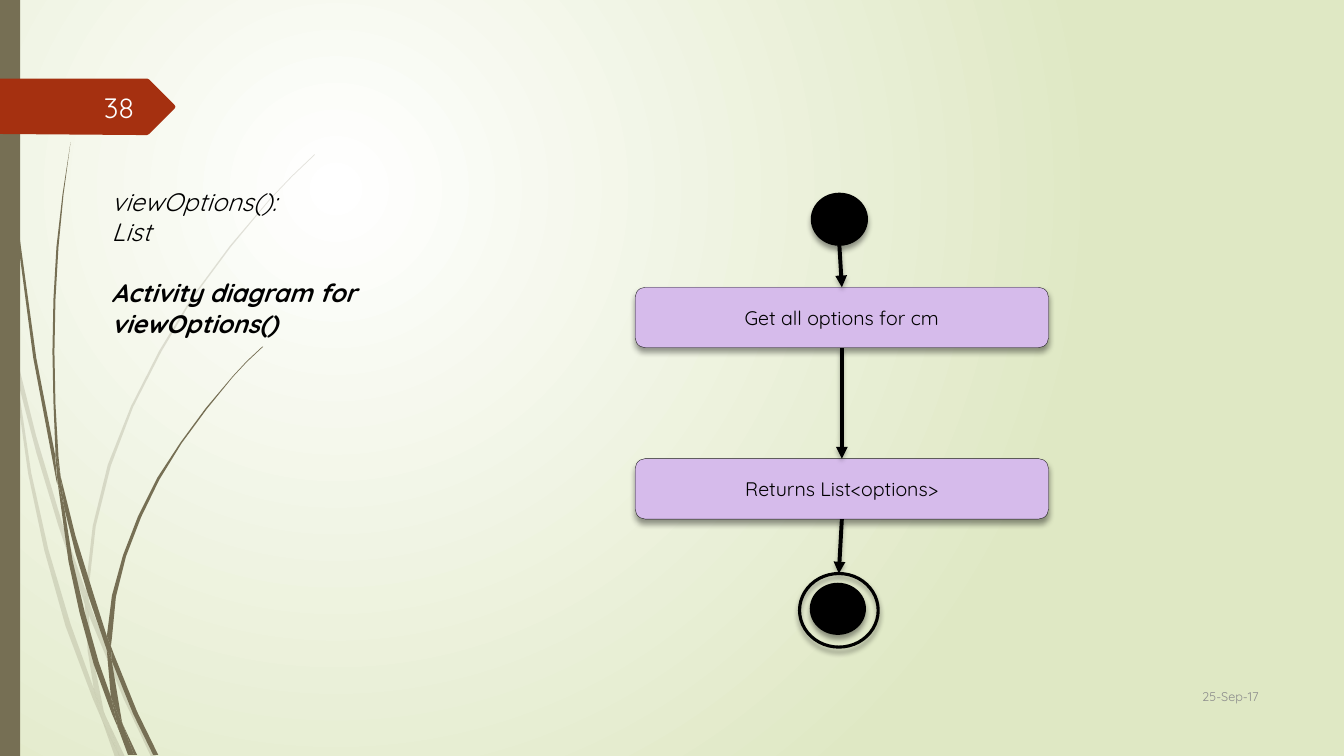
from dataclasses import dataclass
from typing import Optional

from lxml import etree
from pptx import Presentation, util as u
from pptx.dml.color import RGBColor
from pptx.enum import shapes as sh, text as tx
from pptx.oxml.ns import qn

BLACK = RGBColor(0x00, 0x00, 0x00)
WHITE = RGBColor(0xFF, 0xFF, 0xFF)
NUMBER_WHITE = RGBColor(0xFE, 0xFF, 0xFF)
DATE_GREY = RGBColor(0x8C, 0x8C, 0x8C)
PALE_GREEN = RGBColor(0xDF, 0xE8, 0xC4)
OLIVE = RGBColor(0x76, 0x6F, 0x54)
RUST = RGBColor(0xA5, 0x30, 0x10)
LILAC = RGBColor(0xD6, 0xBB, 0xEB)
FONT = "Quicksand"

# Closed outlines, each a row of x,y corners in inches.
FAINT_BLADES = (
    "0.11,3.5 0.09,3.22 0,2.82 0,2.99 0.1,3.44",
    "0.58,5.22 0.84,5.99 0.85,5.86 0.62,5.2 0.36,4.33 0.14,3.45 0.17,3.76 0.36,4.49",
    "0.92,6.07 0.88,5.96 0.88,6.1 1.23,6.94 1.5,7.51 1.55,7.51 1.27,6.92",
    "1.19,7.51 1.24,7.51 1.05,7.11",
    "0.93,6.83 0.7,6.19 0.48,5.45 0.31,4.69 0.17,3.76 0.11,3.5 0.28,4.7 0.44,5.46 0.65,6.21 "
    "0.92,6.93 1.01,7.14 0.99,7.07",
    "0.84,5.99 0.87,6.46 0.93,6.83 0.96,6.92 1.05,7.11 1.03,7.06 0.91,6.46 0.88,6.1 0.88,6.08",
    "0.88,5.84 0.95,5.22 1.1,4.62 1.32,4.04 1.6,3.49 1.92,2.95 2.29,2.45 2.68,1.98 2.9,1.75 "
    "3.12,1.54 3.12,1.53 2.89,1.75 2.68,1.97 2.28,2.44 1.91,2.94 1.58,3.48 1.3,4.03 1.07,4.61 "
    "0.92,5.22 0.85,5.84 0.85,5.86 0.88,5.96",
    "1.01,7.14 1.14,7.51 1.19,7.51",
    "0.88,6.08 0.88,6.1 0.88,5.96 0.85,5.86 0.84,5.99",
    "0.96,6.92 0.93,6.83 0.99,7.07 1.01,7.14 1.19,7.51 1.05,7.11",
)
SOLID_BLADES = (
    "0.07,1.1 0.17,2.33 0.33,3.55 0.56,4.77 0.57,4.81 0.55,4.57 0.55,4.53 0.36,3.55 0.19,2.32 "
    "0.08,1.09 0.05,0.48 0.04,0 0.03,0 0.04,0.48",
    "0.88,5.92 1.06,6.45 1.06,6.31 0.93,5.9 0.75,5.32 0.6,4.72 0.64,5.05 0.75,5.49",
    "1.13,6.49 1.1,6.41 1.11,6.56 1.32,7.08 1.52,7.49 1.57,7.49 1.36,7.06",
    "1.1,6.91 0.98,6.57 0.84,6.07 0.72,5.56 0.64,5.05 0.57,4.77 0.68,5.57 0.79,6.08 0.93,6.59 "
    "1.11,7.08 1.17,7.22 1.16,7.17",
    "0.6,4.72 0.58,4.53 0.55,4.01 0.54,3.49 0.55,2.97 0.58,2.45 0.63,1.93 0.7,1.41 0.62,1.93 "
    "0.56,2.45 0.53,2.97 0.52,3.49 0.53,3.99 0.55,4.49",
    "1.33,7.49 1.36,7.49 1.22,7.19",
    "0.57,4.77 0.64,5.05 0.6,4.72 0.55,4.49 0.55,4.53",
    "1.11,6.33 1.15,5.92 1.25,5.52 1.4,5.13 1.58,4.76 1.8,4.4 2.05,4.06 2.31,3.74 2.45,3.59 "
    "2.61,3.44 2.6,3.44 2.45,3.58 2.31,3.73 2.04,4.05 1.79,4.39 1.56,4.74 1.37,5.12 1.22,5.51 "
    "1.11,5.91 1.06,6.31 1.1,6.41",
    "1.17,7.22 1.27,7.49 1.31,7.49",
    "1.06,6.45 1.1,6.91 1.16,7.06 1.22,7.19 1.21,7.16 1.11,6.56 1.09,6.51",
    "1.06,6.45 1.09,6.51 1.11,6.56 1.1,6.41 1.06,6.31",
    "1.16,7.06 1.1,6.91 1.16,7.17 1.17,7.22 1.3,7.49 1.33,7.49 1.22,7.19",
)
RIBBON = ("1.73,1.08 1.48,1.33 1.46,1.34 1.36,1.34 0,1.33 0,0.78 1.46,0.78 1.48,0.79 "
          "1.73,1.04 1.74,1.06")


@dataclass(frozen=True)
class Node:
    box: tuple
    fill: Optional[RGBColor]
    line_width: float
    kind: sh.MSO_SHAPE = sh.MSO_SHAPE.FLOWCHART_CONNECTOR
    label: str = ""
    line_alpha: int = 100


@dataclass(frozen=True)
class Caption:
    box: tuple
    lines: tuple  # (words, font format) pairs
    size: float
    color: RGBColor
    align: tx.PP_ALIGN = tx.PP_ALIGN.RIGHT
    anchor: tx.MSO_ANCHOR = tx.MSO_ANCHOR.MIDDLE


STEP = sh.MSO_SHAPE.FLOWCHART_ALTERNATE_PROCESS
NODES = {
    "start": Node((8.05, 1.92, 0.55, 0.51), BLACK, 1.25),
    "get": Node((6.3, 2.85, 4.1, 0.6), LILAC, 0.25, STEP, "Get all options for cm", 88),
    "end": Node((8.04, 5.79, 0.54, 0.5), BLACK, 1.25),
    "ring": Node((7.93, 5.69, 0.78, 0.73), None, 2.25),
    "return": Node((6.3, 4.55, 4.1, 0.6), LILAC, 0.25, STEP, "Returns List<options>", 88),
}
FLOWS = (("start", "get"), ("get", "return"), ("return", "ring"))
CAPTIONS = (
    Caption((11.33, 6.7, 1.25, 0.41), (("25-Sep-17", {}),), 9, DATE_GREY),
    Caption((0.58, 0.86, 0.85, 0.4), (("38", {}),), 20, NUMBER_WHITE),
    Caption((1.01, 1.8, 2.67, 1.62),
            (("viewOptions():", {"italic": True}), ("List", {"italic": True}),
             ("Activity diagram for viewOptions()", {"italic": True, "bold": True})),
            18, BLACK, tx.PP_ALIGN.LEFT, tx.MSO_ANCHOR.TOP),
)


def inches(values) -> list:
    return [u.Inches(float(value)) for value in values]


def set_alpha(owner, percent: int) -> None:
    color = next(owner.iter(qn("a:srgbClr")))
    etree.SubElement(color, qn("a:alpha"), val=str(percent * 1000))


def add_shadow(shape, alpha: int, blur: float, distance: float) -> None:
    properties = shape.element.spPr
    effects = properties.find(qn("a:effectLst"))
    if effects is None:
        effects = etree.SubElement(properties, qn("a:effectLst"))
    shadow = etree.SubElement(effects, qn("a:outerShdw"), blurRad=str(u.Pt(blur)),
                              dist=str(u.Pt(distance)), dir="5400000", rotWithShape="0")
    etree.SubElement(shadow, qn("a:srgbClr"), val=str(BLACK))
    set_alpha(shadow, alpha)


def paint_flat(shape, color: RGBColor, alpha: int = 100) -> None:
    shape.shadow.inherit = False
    shape.fill.solid()
    shape.fill.fore_color.rgb = color
    shape.line.fill.background()
    if alpha < 100:
        set_alpha(shape.element.spPr, alpha)


def draw_outline(slide, outline: str, color: RGBColor, alpha: int = 100) -> None:
    first, *rest = (inches(corner.split(",")) for corner in outline.split())
    builder = slide.shapes.build_freeform(*first)
    builder.add_line_segments(rest, close=True)
    paint_flat(builder.convert_to_shape(), color, alpha)


def write(paragraph, words: str, size: float, color: RGBColor, align, **extra) -> None:
    paragraph.alignment = align
    run = paragraph.add_run()
    run.text = words
    for key, value in {"name": FONT, "size": u.Pt(size), **extra}.items():
        setattr(run.font, key, value)
    run.font.color.rgb = color


def draw_caption(slide, caption: Caption) -> None:
    frame = slide.shapes.add_textbox(*inches(caption.box)).text_frame
    for key, value in {"word_wrap": True, "vertical_anchor": caption.anchor}.items():
        setattr(frame, key, value)
    for i, (words, extra) in enumerate(caption.lines):
        paragraph = frame.add_paragraph() if i else frame.paragraphs[0]
        write(paragraph, words, caption.size, caption.color, caption.align, **extra)
        if "bold" in extra:
            paragraph.space_before = u.Pt(22)


def draw_node(slide, node: Node):
    shape = slide.shapes.add_shape(node.kind, *inches(node.box))
    paint_flat(shape, node.fill or WHITE)
    if node.fill is None:
        shape.fill.background()
    shape.line.color.rgb = BLACK
    shape.line.width = u.Pt(node.line_width)
    if node.line_alpha < 100:
        set_alpha(shape.element.spPr.find(qn("a:ln")), node.line_alpha)
    add_shadow(shape, 40, 4, 3)
    if node.label:
        shape.text_frame.vertical_anchor = tx.MSO_ANCHOR.MIDDLE
        write(shape.text_frame.paragraphs[0], node.label, 14, BLACK, tx.PP_ALIGN.CENTER)
    return shape


def draw_flow(slide, source, target) -> None:
    arrow = slide.shapes.add_connector(
        sh.MSO_CONNECTOR.STRAIGHT, source.left + source.width // 2, source.top + source.height,
        target.left + target.width // 2, target.top)
    if source.auto_shape_type == STEP:
        arrow.begin_connect(source, 2)
    arrow.end_connect(target, 0)
    arrow.line.color.rgb = BLACK
    arrow.line.width = u.Pt(2.8)
    etree.SubElement(arrow.element.spPr.find(qn("a:ln")), qn("a:tailEnd"), type="triangle")
    add_shadow(arrow, 25, 3, 2)


def paint_background(slide) -> None:
    """Radial glow centred a quarter of the way in from the top left."""
    fill = slide.background.fill
    fill.gradient()
    for stop, color, position in zip(fill.gradient_stops, (WHITE, PALE_GREEN), (0, 1)):
        stop.color.rgb = color
        stop.position = position
    gradient = next(slide.element.iter(qn("a:gradFill")))
    glow = etree.Element(qn("a:path"), {"path": "circle"})
    etree.SubElement(glow, qn("a:fillToRect"), l="50000", t="50000", r="100000", b="100000")
    gradient.replace(gradient.find(qn("a:lin")), glow)


def main() -> None:
    deck = Presentation()
    deck.slide_width, deck.slide_height = inches((13.33, 7.5))
    slide = deck.slides.add_slide(deck.slide_layouts[6])
    paint_background(slide)
    for blades, alpha in ((FAINT_BLADES, 20), (SOLID_BLADES, 100)):
        for outline in blades:
            draw_outline(slide, outline, OLIVE, alpha)
    side_bar = slide.shapes.add_shape(sh.MSO_SHAPE.RECTANGLE, *inches((0, 0, 0.2, 7.5)))
    paint_flat(side_bar, OLIVE)
    draw_outline(slide, RIBBON, RUST)
    for caption in CAPTIONS:
        draw_caption(slide, caption)
    drawn = {key: draw_node(slide, node) for key, node in NODES.items()}
    for source, target in FLOWS:
        draw_flow(slide, drawn[source], drawn[target])
    deck.save("out.pptx")


if __name__ == "__main__":
    main()
